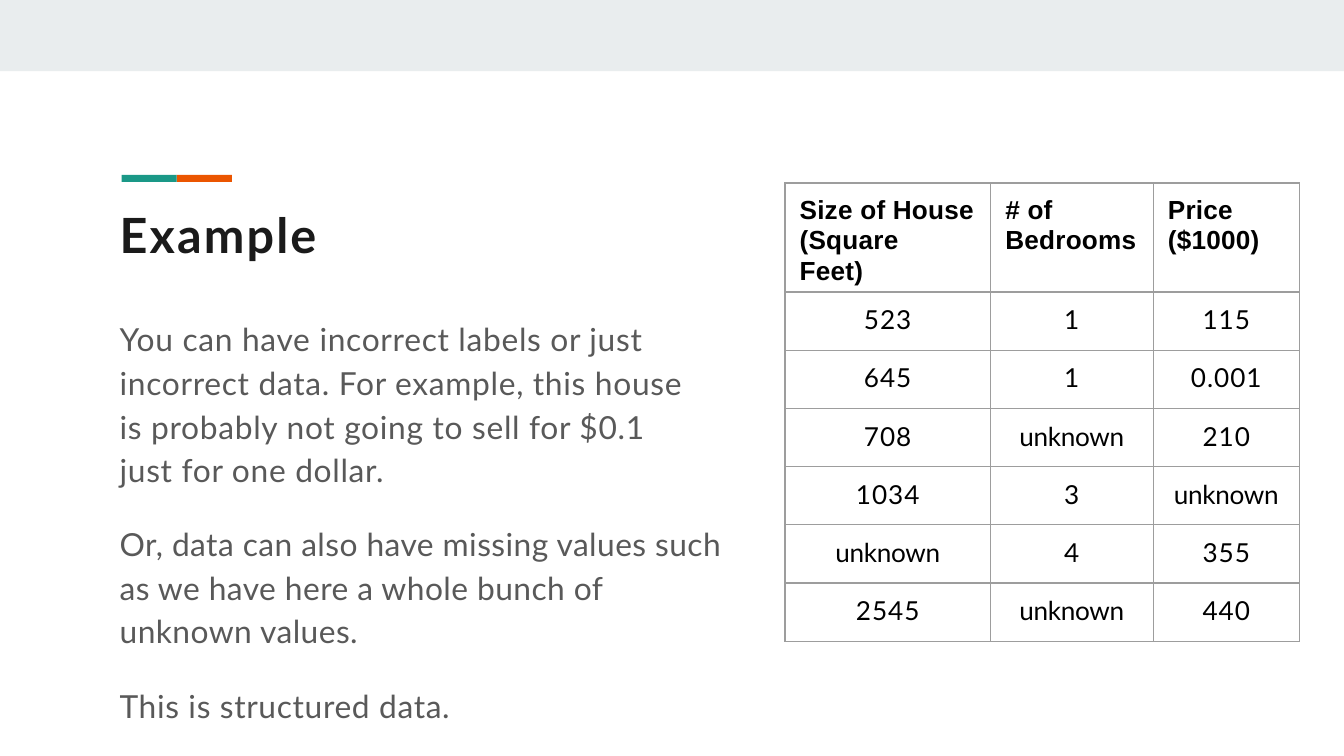
from lxml import etree
from pptx import Presentation
from pptx.dml.color import RGBColor
from pptx.enum.shapes import MSO_SHAPE
from pptx.enum.text import MSO_ANCHOR, PP_ALIGN
from pptx.oxml.ns import qn
from pptx.util import Inches, Pt

RECTANGLE = MSO_SHAPE.RECTANGLE
TOP = MSO_ANCHOR.TOP
LEFT, CENTER = PP_ALIGN.LEFT, PP_ALIGN.CENTER

COLORS = {
    "banner": "E9EDEE",
    "teal": "1A9887",
    "orange": "EB5500",
    "title": "1A1A1A",
    "body": "595959",
    "table": "000000",
    "border": "9D9D9D",
}

presentation = Presentation()
presentation.slide_width = Inches(10)
presentation.slide_height = presentation.slide_width * 9 // 16
slide = presentation.slides.add_slide(presentation.slide_layouts[5])


def place(left, top, width, height):
    across = presentation.slide_width / 100
    down = presentation.slide_height / 100
    return [int(left * across), int(top * down), int(width * across), int(height * down)]


def add_text(paragraph, text, font_name, size, color, bold=False, spacing=0):
    run = paragraph.add_run()
    run.text = text
    run.font.name = font_name
    run.font.size = Pt(size)
    run.font.bold = bold
    run.font.color.rgb = RGBColor.from_string(COLORS[color])
    run._r.get_or_add_rPr().set("spc", str(round(spacing * 100)))


bars = [
    ("banner", 0, 0, 100, 9.43),
    ("orange", 13.15, 23.13, 4.1, 0.95),
    ("teal", 9.05, 23.13, 4.1, 0.95),
]
for color, *area in bars:
    bar = slide.shapes.add_shape(RECTANGLE, *place(*area))
    bar.shadow.inherit = False
    bar.fill.solid()
    bar.fill.fore_color.rgb = RGBColor.from_string(COLORS[color])
    bar.line.fill.background()

title = slide.shapes.title
title.left, title.top, title.width, title.height = place(8.9, 26.8, 15.6, 8.36)
body = slide.shapes.add_textbox(*place(8.9, 41.2, 45.9, 55.16))
for shape in (title, body):
    frame = shape.text_frame
    frame.word_wrap = True
    frame.vertical_anchor = TOP
    frame.margin_left = frame.margin_right = frame.margin_bottom = 0
    frame.margin_top = Inches(0.02)

title_paragraph = title.text_frame.paragraphs[0]
title_paragraph.alignment = LEFT
add_text(title_paragraph, "Example", "Lato", 26, "title", True, 1.14)

body_paragraphs = [
    ("You can have incorrect labels or just incorrect data. For example, this house "
     "is probably not going to sell for $0.1 just for one dollar.", 0, 1.15, 0.36, 0.33),
    ("Or, data can also have missing values such as we have here a whole bunch of "
     "unknown values.", 16.5, 1.14, 0.22, 0.03),
    ("This is structured data.", 19.4, 1, 0.35, 0),
]
for index, (text, before, line_spacing, spacing, right_margin) in enumerate(body_paragraphs):
    frame = body.text_frame
    paragraph = frame.add_paragraph() if index else frame.paragraphs[0]
    paragraph.alignment = LEFT
    paragraph.space_before = Pt(before)
    paragraph.line_spacing = line_spacing
    paragraph._p.get_or_add_pPr().set("marR", str(Inches(right_margin)))
    add_text(paragraph, text, "Lato", 17, "body", False, spacing)

headers = [
    ["Size of House", "(Square", "Feet)"],
    ["# of Bedrooms"],
    ["Price ($1000)"],
]
houses = [
    ["523", "1", "115"],
    ["645", "1", "0.001"],
    ["708", "unknown", "210"],
    ["1034", "3", "unknown"],
    ["unknown", "4", "355"],
    ["2545", "unknown", "440"],
]
column_shares = [15.3, 12.1, 10.9]
header_share, row_share = 14.41, 7.7
table_area = place(58.4, 24.2, sum(column_shares), header_share + row_share * len(houses))
table = slide.shapes.add_table(len(houses) + 1, len(headers), *table_area).table
table.first_row = False
table.horz_banding = False
for column, share in zip(table.columns, column_shares):
    column.width = int(presentation.slide_width * share / 100)
for index, row in enumerate(table.rows):
    share = row_share if index else header_share
    row.height = int(presentation.slide_height * share / 100)

for row_index, values in enumerate([headers] + houses):
    for column_index, value in enumerate(values):
        cell = table.cell(row_index, column_index)
        cell.vertical_anchor = TOP
        cell.margin_left = cell.margin_right = cell.margin_bottom = 0
        cell.margin_top = Inches(0.09)
        properties = cell._tc.get_or_add_tcPr()
        for side in ("a:lnL", "a:lnR", "a:lnT", "a:lnB"):
            border = etree.SubElement(properties, qn(side), w=str(Pt(0.75)))
            border_fill = etree.SubElement(border, qn("a:solidFill"))
            etree.SubElement(border_fill, qn("a:srgbClr"), val=COLORS["border"])
        cell.fill.background()
        paragraph = cell.text_frame.paragraphs[0]
        if row_index:
            paragraph.alignment = CENTER
            spacing = -0.2 if value == "unknown" else 0.5
            add_text(paragraph, value, "Lato", 14, "table", False, spacing)
        else:
            cell.margin_left = Inches(0.11)
            paragraph.line_spacing = 1.03
            for line_index, line in enumerate(value):
                if line_index:
                    paragraph.add_line_break()
                add_text(paragraph, line, "Arial", 14, "table", True, 0.1)

presentation.save("out.pptx")
